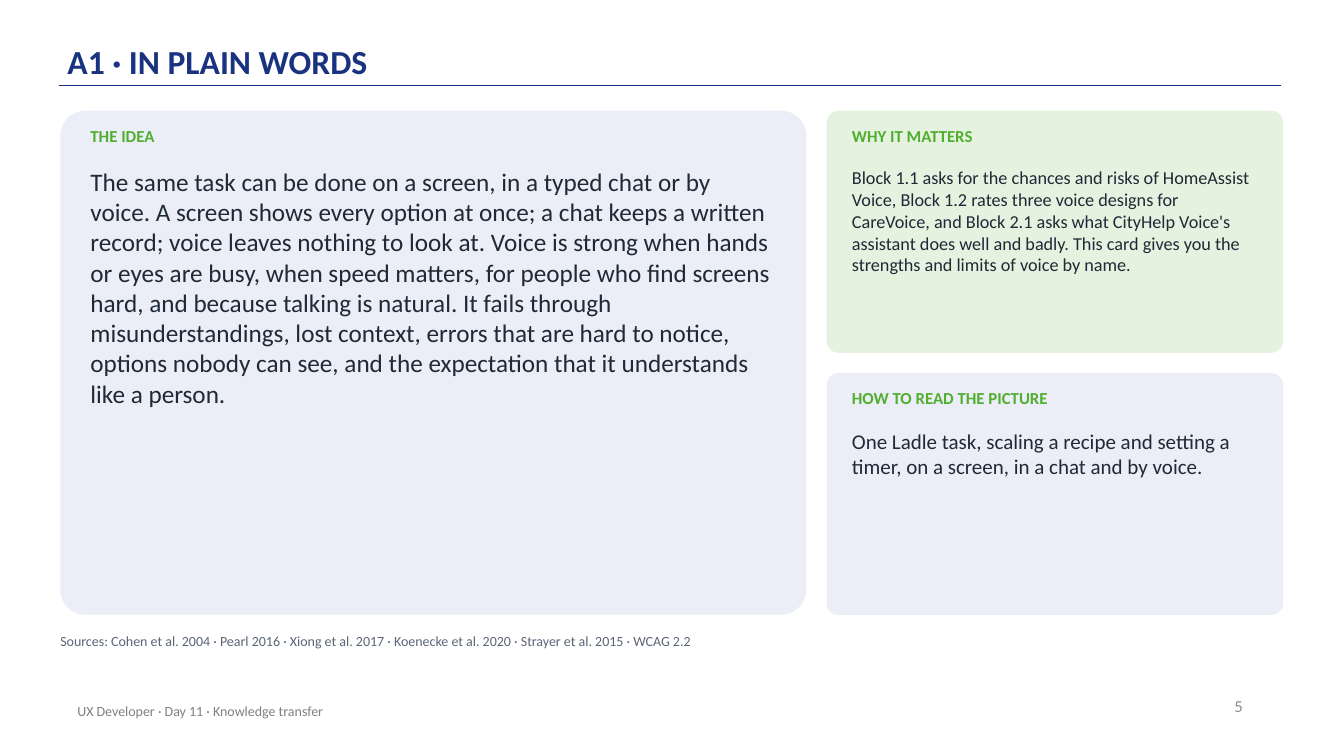
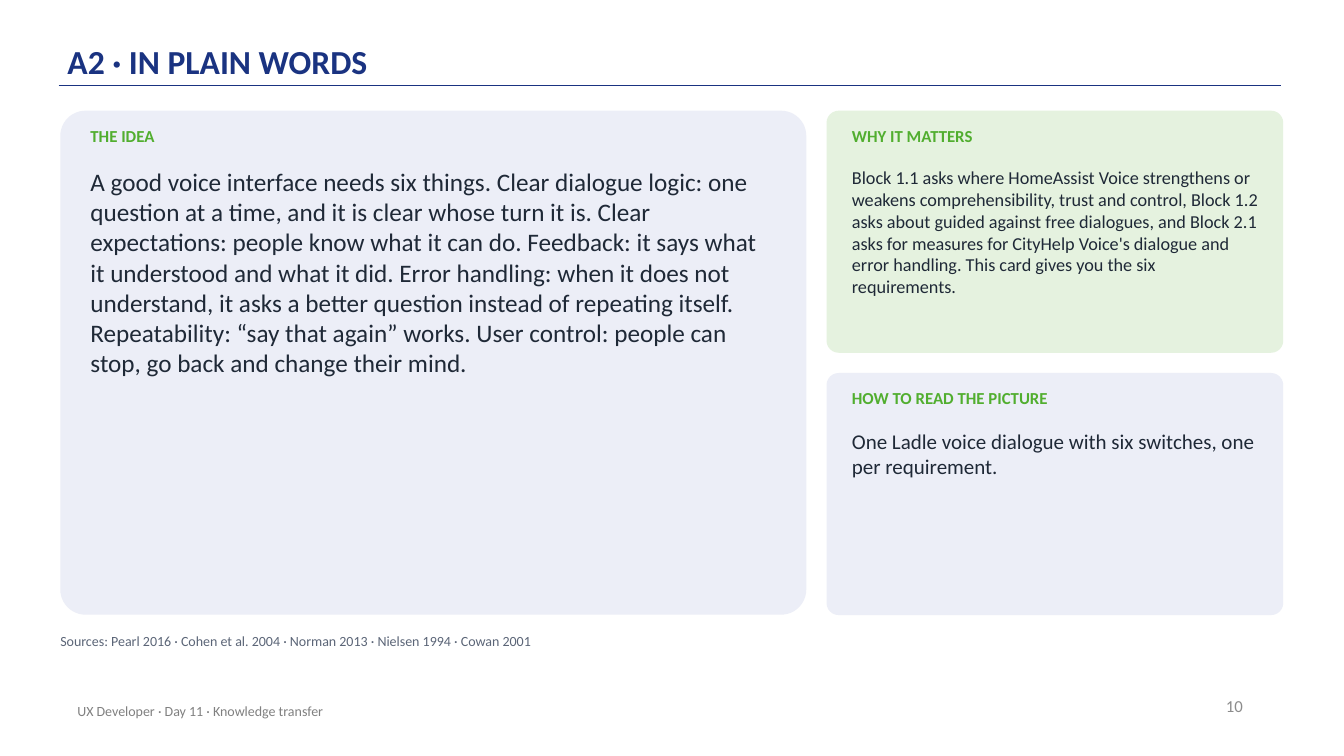
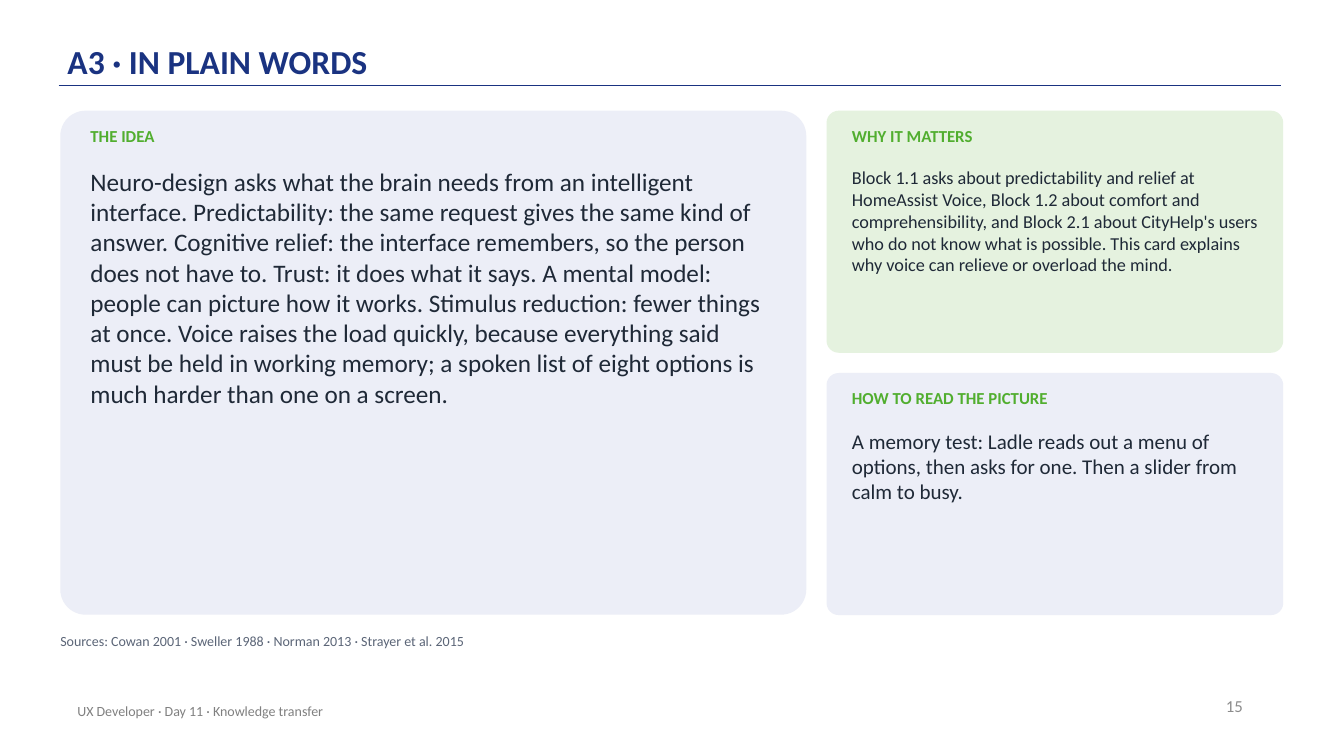
from lxml import etree
from pptx import Presentation
from pptx import util as u
from pptx.dml import color
from pptx.enum import shapes, text
from pptx.oxml import ns

COLORS = {
    "navy": "1A3381",
    "green": "51AE2F",
    "ink": "1F2937",
    "slate": "5B6577",
    "footer": "808080",
    "number": "8C8C8C",
    "lilac": "ECEEF7",
    "mint": "E5F2DF",
}
RIGHT = text.PP_ALIGN.RIGHT
MIDDLE = text.MSO_ANCHOR.MIDDLE
FOOTER = "UX Developer · Day 11 · Knowledge transfer"

CARDS = [
    ("THE IDEA", (1.52, 2.79, 18.8, 12.7), "lilac", 0.76, 17.27, 18),
    ("WHY IT MATTERS", (20.83, 2.79, 11.51, 6.1), "mint", 0.64, 10.29, 13),
    ("HOW TO READ THE PICTURE", (20.83, 9.4, 11.51, 6.1), "lilac", 0.64, 10.29, 15),
]

TOPICS = [
    {
        "title": "A1 · IN PLAIN WORDS",
        "page": 5,
        "cards": [
            "The same task can be done on a screen, in a typed chat or by voice. "
            "A screen shows every option at once; a chat keeps a written record; "
            "voice leaves nothing to look at. Voice is strong when hands or eyes are busy, "
            "when speed matters, for people who find screens hard, and because talking is "
            "natural. It fails through misunderstandings, lost context, errors that are hard "
            "to notice, options nobody can see, and the expectation that it understands "
            "like a person.",
            "Block 1.1 asks for the chances and risks of HomeAssist Voice, Block 1.2 rates "
            "three voice designs for CareVoice, and Block 2.1 asks what CityHelp Voice's "
            "assistant does well and badly. This card gives you the strengths and limits "
            "of voice by name.",
            "One Ladle task, scaling a recipe and setting a timer, on a screen, in a chat "
            "and by voice.",
        ],
        "sources": "Sources: Cohen et al. 2004 · Pearl 2016 · Xiong et al. 2017 · "
                   "Koenecke et al. 2020 · Strayer et al. 2015 · WCAG 2.2",
    },
    {
        "title": "A2 · IN PLAIN WORDS",
        "page": 10,
        "cards": [
            "A good voice interface needs six things. Clear dialogue logic: one question at "
            "a time, and it is clear whose turn it is. Clear expectations: people know what "
            "it can do. Feedback: it says what it understood and what it did. Error handling: "
            "when it does not understand, it asks a better question instead of repeating "
            "itself. Repeatability: “say that again” works. User control: people can stop, "
            "go back and change their mind.",
            "Block 1.1 asks where HomeAssist Voice strengthens or weakens comprehensibility, "
            "trust and control, Block 1.2 asks about guided against free dialogues, and "
            "Block 2.1 asks for measures for CityHelp Voice's dialogue and error handling. "
            "This card gives you the six requirements.",
            "One Ladle voice dialogue with six switches, one per requirement.",
        ],
        "sources": "Sources: Pearl 2016 · Cohen et al. 2004 · Norman 2013 · "
                   "Nielsen 1994 · Cowan 2001",
    },
    {
        "title": "A3 · IN PLAIN WORDS",
        "page": 15,
        "cards": [
            "Neuro-design asks what the brain needs from an intelligent interface. "
            "Predictability: the same request gives the same kind of answer. Cognitive "
            "relief: the interface remembers, so the person does not have to. Trust: it does "
            "what it says. A mental model: people can picture how it works. Stimulus "
            "reduction: fewer things at once. Voice raises the load quickly, because "
            "everything said must be held in working memory; a spoken list of eight options "
            "is much harder than one on a screen.",
            "Block 1.1 asks about predictability and relief at HomeAssist Voice, Block 1.2 "
            "about comfort and comprehensibility, and Block 2.1 about CityHelp's users who "
            "do not know what is possible. This card explains why voice can relieve or "
            "overload the mind.",
            "A memory test: Ladle reads out a menu of options, then asks for one. Then a "
            "slider from calm to busy.",
        ],
        "sources": "Sources: Cowan 2001 · Sweller 1988 · Norman 2013 · Strayer et al. 2015",
    },
]


def assign(target, values):
    for name, value in values.items():
        setattr(target, name, value)


def rgb(name):
    return color.RGBColor.from_string(COLORS[name])


class Deck:
    font = "Calibri"

    def __init__(self):
        self.presentation = Presentation()
        assign(self.presentation, {"slide_width": u.Cm(33.87), "slide_height": u.Cm(19.05)})
        self.slide = None

    def typeset(self, frame, words, size, ink, bold=False, layout=None, spacing=None):
        frame.text = words
        assign(frame, {"word_wrap": True, **(layout or {})})
        paragraph = frame.paragraphs[0]
        assign(paragraph, spacing or {})
        face = paragraph.runs[0].font
        assign(face, {"name": self.font, "size": u.Pt(size), "bold": bold})
        face.color.rgb = rgb(ink)

    def heading(self, words):
        self.slide = self.presentation.slides.add_slide(self.presentation.slide_layouts[5])
        title = self.slide.shapes.title
        assign(title, {"left": u.Cm(1.7), "top": u.Cm(0.3),
                       "width": u.Cm(27.94), "height": u.Cm(1.83)})
        self.typeset(title.text_frame, words, 24, "navy", True,
                     {"vertical_anchor": text.MSO_ANCHOR.BOTTOM,
                      "auto_size": text.MSO_AUTO_SIZE.NONE,
                      "margin_left": 0, "margin_right": 0,
                      "margin_top": u.Cm(0.08), "margin_bottom": u.Cm(0.08)},
                     {"alignment": text.PP_ALIGN.LEFT, "line_spacing": 0.9,
                      "space_before": u.Pt(0)})
        self.rule()

    def rule(self):
        rule = self.slide.shapes.add_connector(
            shapes.MSO_CONNECTOR.STRAIGHT, u.Cm(1.48), u.Cm(2.16), u.Cm(32.28), u.Cm(2.16))
        rule.line.width = u.Pt(1)
        rule.line.color.rgb = rgb("navy")
        etree.SubElement(rule._element.spPr, ns.qn("a:effectLst"))

    def label(self, box, words, size, ink, **style):
        area = self.slide.shapes.add_textbox(*map(u.Cm, box))
        self.typeset(area.text_frame, words, size, ink, **style)

    def passage(self, box, words, size, ink, bold=False):
        margins = {f"margin_{side}": 0 for side in ("left", "top", "right", "bottom")}
        self.label(box, words, size, ink, bold=bold,
                   layout={"auto_size": text.MSO_AUTO_SIZE.SHAPE_TO_FIT_TEXT, **margins},
                   spacing={"space_after": u.Pt(6)})

    def card(self, heading, box, fill, inset, width, size, words):
        left, top, _, height = box
        panel = self.slide.shapes.add_shape(
            shapes.MSO_SHAPE.ROUNDED_RECTANGLE, *map(u.Cm, box))
        panel.adjustments[0] = 0.05
        panel.shadow.inherit = False
        panel.fill.solid()
        panel.fill.fore_color.rgb = rgb(fill)
        panel.line.fill.background()
        self.passage((left + inset, top + 0.38, width, 0.89), heading, 12, "green", True)
        self.passage((left + inset, top + 1.4, width, height - 1.7), words, size, "ink")

    def footer(self, page):
        self.label((23.95, 17.27, 7.62, 1.02), str(page), 12, "number",
                   layout={"vertical_anchor": MIDDLE}, spacing={"alignment": RIGHT})
        self.label((1.7, 17.4, 17.02, 1.02), FOOTER, 10, "footer",
                   layout={"vertical_anchor": MIDDLE})


def main():
    deck = Deck()
    for topic in TOPICS:
        deck.heading(topic["title"])
        deck.footer(topic["page"])
        for card, words in zip(CARDS, topic["cards"]):
            deck.card(*card, words)
        deck.passage((1.52, 15.93, 30.73, 0.76), topic["sources"], 10, "slate")
    deck.presentation.save("out.pptx")


if __name__ == "__main__":
    main()
